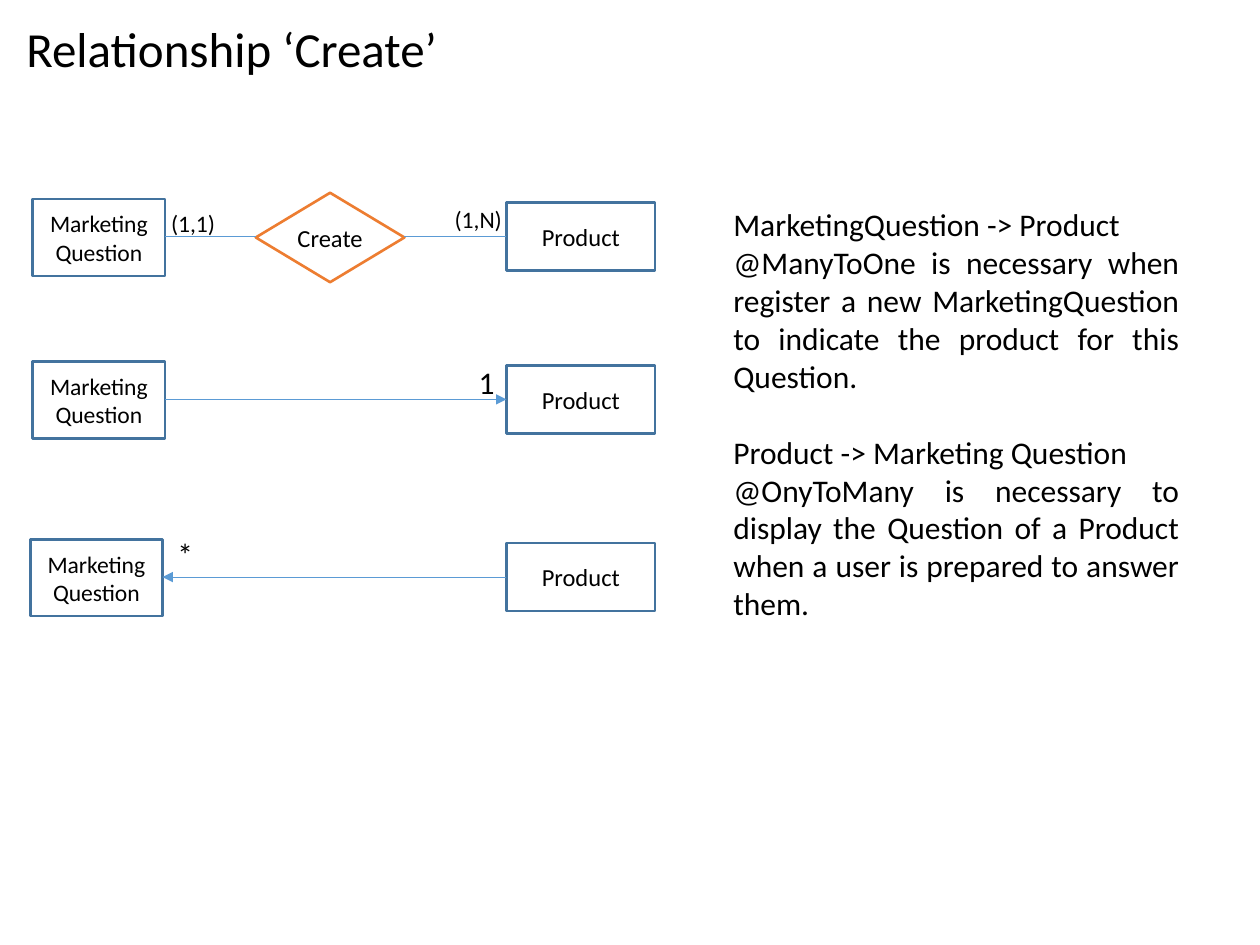
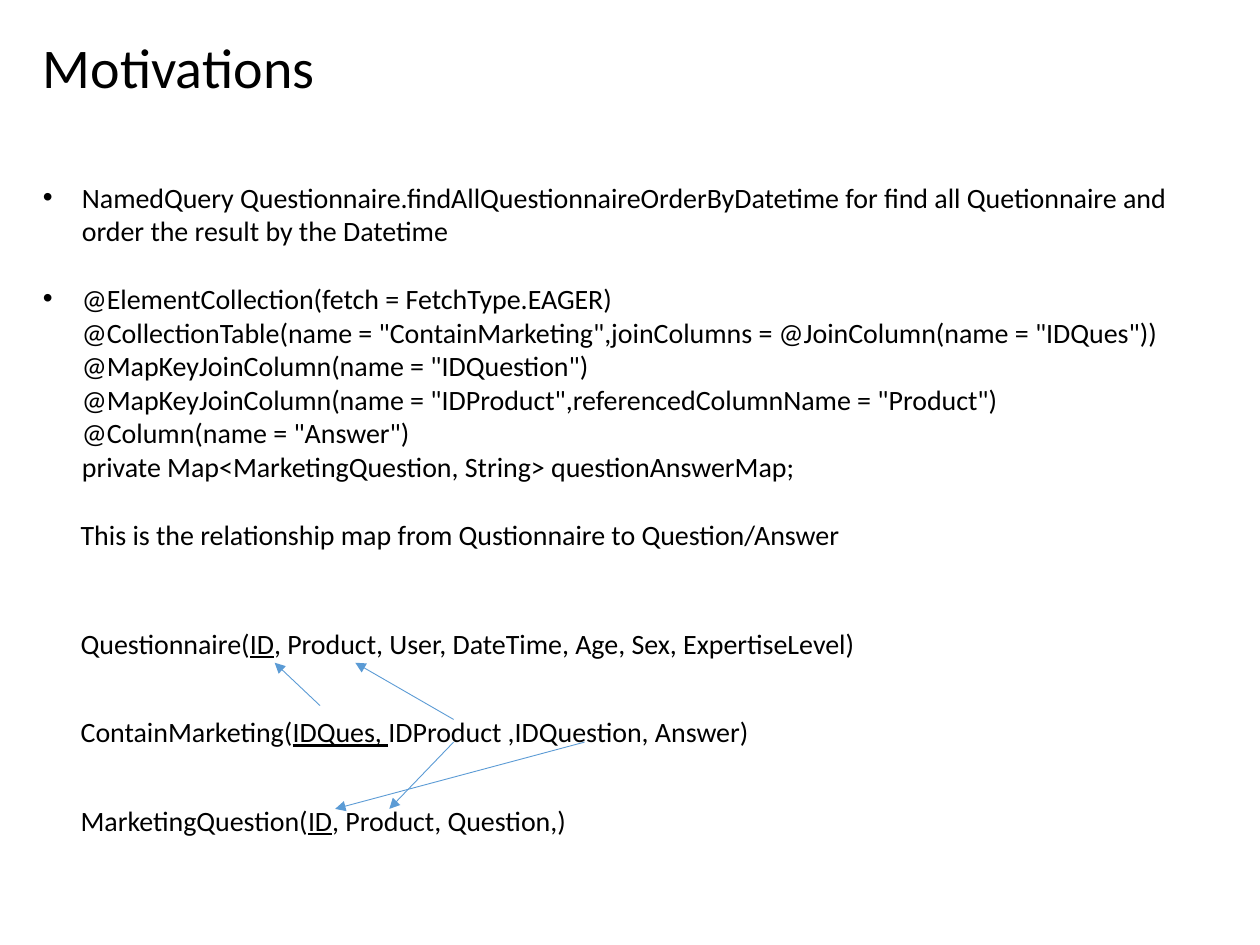
"""Build two slides on entity relationships and the motivations for their mappings."""
from copy import deepcopy
from dataclasses import dataclass
from typing import NamedTuple

from lxml.etree import SubElement
from pptx import Presentation
from pptx.dml.color import RGBColor
from pptx.enum.shapes import MSO_CONNECTOR as Connector, MSO_SHAPE as Preset
from pptx.enum.text import MSO_ANCHOR as Anchor, MSO_AUTO_SIZE as AutoSize, PP_ALIGN as Align
from pptx.oxml.ns import qn
from pptx.util import Inches, Pt


@dataclass(frozen=True)
class Theme:
    font: str = "Calibri"
    text: RGBColor = RGBColor(0x00, 0x00, 0x00)
    paper: RGBColor = RGBColor(0xFF, 0xFF, 0xFF)
    entity: RGBColor = RGBColor(0x43, 0x73, 0x9E)
    relation: RGBColor = RGBColor(0xED, 0x7D, 0x31)
    link: RGBColor = RGBColor(0x5B, 0x9B, 0xD5)
    outline: float = 1.5
    link_width: float = 0.5
    title: float = 28
    large_title: float = 32
    note: float = 18
    body: float = 16
    name: float = 14
    small: float = 13.5


THEME = Theme()


class Area(NamedTuple):
    left: float
    top: float
    width: float
    height: float


class Point(NamedTuple):
    x: float
    y: float


class Label(NamedTuple):
    text: str
    area: Area
    size: float


class Span(NamedTuple):
    text: str
    underline: bool = False


@dataclass(frozen=True)
class Para:
    spans: tuple[Span, ...]
    before: float = 0
    bullet: bool = False
    margin: float = 0
    align: Align = Align.LEFT
    spacing: float = 1.0


@dataclass(frozen=True)
class Row:
    top: float
    question_left: float = 0.26

    @property
    def start(self) -> Point:
        return Point(self.question_left + QUESTION_WIDTH, self.top + 0.3)

    @property
    def end(self) -> Point:
        return Point(PRODUCT_LEFT, self.top + 0.3)


QUESTION_WIDTH = 1.05
PRODUCT_LEFT = 4.02
DIAMOND = Area(2.03, 1.53, 1.18, 0.71)
ROWS = (Row(1.58), Row(2.87), Row(4.28, 0.24))
CARDINALITIES = (
    Label("(1,1)", Area(1.26, 1.61, 0.56, 0.33), THEME.small),
    Label("(1,N)", Area(3.51, 1.58, 0.58, 0.33), THEME.small),
    Label("1", Area(3.7, 2.83, 0.33, 0.4), THEME.note),
    Label("*", Area(1.31, 4.2, 0.33, 0.4), THEME.note),
)
NOTES = (
    ("MarketingQuestion -> Product", 0),
    ("@ManyToOne is necessary when register a new MarketingQuestion "
     "to indicate the product for this Question.", 0),
    ("Product -> Marketing Question", 22),
    ("@OnyToMany is necessary to display the Question of a Product "
     "when a user is prepared to answer them.", 0),
)
MAPPING = """@ElementCollection(fetch = FetchType.EAGER)
@CollectionTable(name = "ContainMarketing",joinColumns = @JoinColumn(name = "IDQues"))
@MapKeyJoinColumn(name = "IDQuestion")
@MapKeyJoinColumn(name = "IDProduct",referencedColumnName = "Product")
@Column(name = "Answer")
private Map<MarketingQuestion, String> questionAnswerMap;"""
MOTIVATIONS = (
    Para((Span("NamedQuery Questionnaire.findAllQuestionnaireOrderByDatetime for find all "
               "Quetionnaire and order the result by the Datetime"),), 0, True, 0.31),
    Para((Span(MAPPING),), 19.5, True, 0.31),
    Para((Span("This is the relationship map from Qustionnaire to Question/Answer"),),
         19.5, margin=0.3),
)
TABLES = (
    ("Questionnaire(", "ID", ", Product, User, DateTime, Age, Sex, ExpertiseLevel)"),
    ("ContainMarketing(", "IDQues, ", "IDProduct ,IDQuestion, Answer)"),
    ("MarketingQuestion(", "ID", ", Product, Question,)"),
)
REFERENCES = (
    (Point(2.54, 5.6), Point(2.18, 5.26)),
    (Point(3.6, 5.71), Point(2.82, 5.26)),
    (Point(3.6, 5.89), Point(3.09, 6.42)),
    (Point(4.64, 5.89), Point(2.66, 6.42)),
)


def inches(values: tuple[float, ...]) -> list[Inches]:
    return [Inches(value) for value in values]


def style_font(font, size: float) -> None:
    font.name, font.size = THEME.font, Pt(size)
    font.color.rgb = THEME.text


def place(holder, area: Area) -> None:
    holder.left, holder.top, holder.width, holder.height = inches(area)
    holder.text_frame.auto_size = AutoSize.NONE
    holder.text_frame.vertical_anchor = Anchor.TOP


def write_title(slide, label: Label) -> None:
    title = slide.shapes.title
    place(title, label.area)
    title.text_frame.word_wrap = False
    title.text_frame.text = label.text
    para = title.text_frame.paragraphs[0]
    para.alignment = Align.LEFT
    style_font(para.runs[0].font, label.size)


def format_indent(para, item: Para) -> None:
    properties = para._p.get_or_add_pPr()
    properties.set("marL", str(Inches(item.margin)))
    properties.set("indent", str(Inches(-item.margin if item.bullet else 0)))
    if item.bullet:
        SubElement(properties, qn("a:buChar")).set("char", "•")
    else:
        SubElement(properties, qn("a:buNone"))


def write_body(holder, area: Area, items: tuple[Para, ...], size: float) -> None:
    place(holder, area)
    frame = holder.text_frame
    for index, item in enumerate(items):
        para = frame.paragraphs[0] if index == 0 else frame.add_paragraph()
        format_indent(para, item)
        para.alignment, para.line_spacing = item.align, item.spacing
        para.space_before = Pt(item.before)
        for part in item.spans:
            for number, line in enumerate(part.text.split("\n")):
                if number:
                    para.add_line_break()
                span = para.add_run()
                span.text = line
                style_font(span.font, size)
                if part.underline:
                    span.font.underline = True
        for line_break in para._p.findall(qn("a:br")):
            line_break.append(deepcopy(para.runs[0]._r.rPr))


def draw_shape(slide, preset: Preset, label: Label, color: RGBColor):
    shape = slide.shapes.add_shape(preset, *inches(label.area))
    shape.shadow.inherit = False
    shape.fill.background()
    shape.line.color.rgb, shape.line.width = color, Pt(THEME.outline)
    frame = shape.text_frame
    frame.text, frame.vertical_anchor = label.text, Anchor.MIDDLE
    frame.paragraphs[0].alignment = Align.CENTER
    style_font(frame.paragraphs[0].runs[0].font, label.size)
    return shape


def draw_label(slide, label: Label) -> None:
    box = slide.shapes.add_textbox(*inches(label.area))
    frame = box.text_frame
    frame.text, frame.word_wrap = label.text, False
    frame.auto_size = AutoSize.SHAPE_TO_FIT_TEXT
    style_font(frame.paragraphs[0].runs[0].font, label.size)


def draw_link(slide, start: Point, end: Point, arrow: bool = True) -> None:
    link = slide.shapes.add_connector(Connector.STRAIGHT, *inches(start + end))
    link.line.color.rgb, link.line.width = THEME.link, Pt(THEME.link_width)
    properties = link._element.spPr
    if arrow:
        SubElement(properties.find(qn("a:ln")), qn("a:tailEnd")).set("type", "triangle")
    SubElement(properties, qn("a:effectLst"))


def build_relationship(deck) -> None:
    slide = deck.slides.add_slide(deck.slide_layouts[1])
    write_title(slide, Label("Relationship ‘Create’", Area(0.11, 0.1, 3.5, 0.57), THEME.title))
    notes = tuple(Para((Span(text),), before, align=Align.JUSTIFY) for text, before in NOTES)
    write_body(slide.placeholders[1], Area(5.72, 1.58, 3.74, 3.43), notes, THEME.note)
    for row in ROWS:
        question = Area(row.question_left, row.top, QUESTION_WIDTH, 0.61)
        product = Area(PRODUCT_LEFT, row.top + 0.03, 1.18, 0.54)
        for label in (Label("Marketing Question", question, THEME.small),
                      Label("Product", product, THEME.name)):
            draw_shape(slide, Preset.RECTANGLE, label, THEME.entity)
    create = draw_shape(slide, Preset.DIAMOND, Label("Create", DIAMOND, THEME.name), THEME.relation)
    create.fill.solid()
    create.fill.fore_color.rgb = THEME.paper
    frame = create.text_frame
    frame.word_wrap = False
    frame.margin_left = frame.margin_right = Inches(0)

    both, to_product, to_question = ROWS
    draw_link(slide, both.start, Point(DIAMOND.left, both.start.y), arrow=False)
    draw_link(slide, Point(DIAMOND.left + DIAMOND.width, both.end.y), both.end, arrow=False)
    draw_link(slide, to_product.start, to_product.end)
    draw_link(slide, to_question.end, to_question.start)
    for label in CARDINALITIES:
        draw_label(slide, label)


def build_motivations(deck) -> None:
    slide = deck.slides.add_slide(deck.slide_layouts[3])
    write_title(slide, Label("Motivations", Area(0.24, 0.21, 2.49, 0.64), THEME.large_title))
    write_body(slide.placeholders[1], Area(0.24, 1.38, 9.47, 3.06), MOTIVATIONS, THEME.body)
    tables = tuple(
        Para((Span(name), Span(key, True), Span(columns)), 35.2 if index else 0, spacing=0.8)
        for index, (name, key, columns) in enumerate(TABLES))
    write_body(slide.placeholders[2], Area(0.54, 4.97, 6.39, 1.85), tables, THEME.body)
    for start, end in REFERENCES:
        draw_link(slide, start, end)


def main() -> None:
    deck = Presentation()
    deck.slide_width, deck.slide_height = Inches(10), Inches(7.5)
    build_relationship(deck)
    build_motivations(deck)
    deck.save("out.pptx")


if __name__ == "__main__":
    main()
